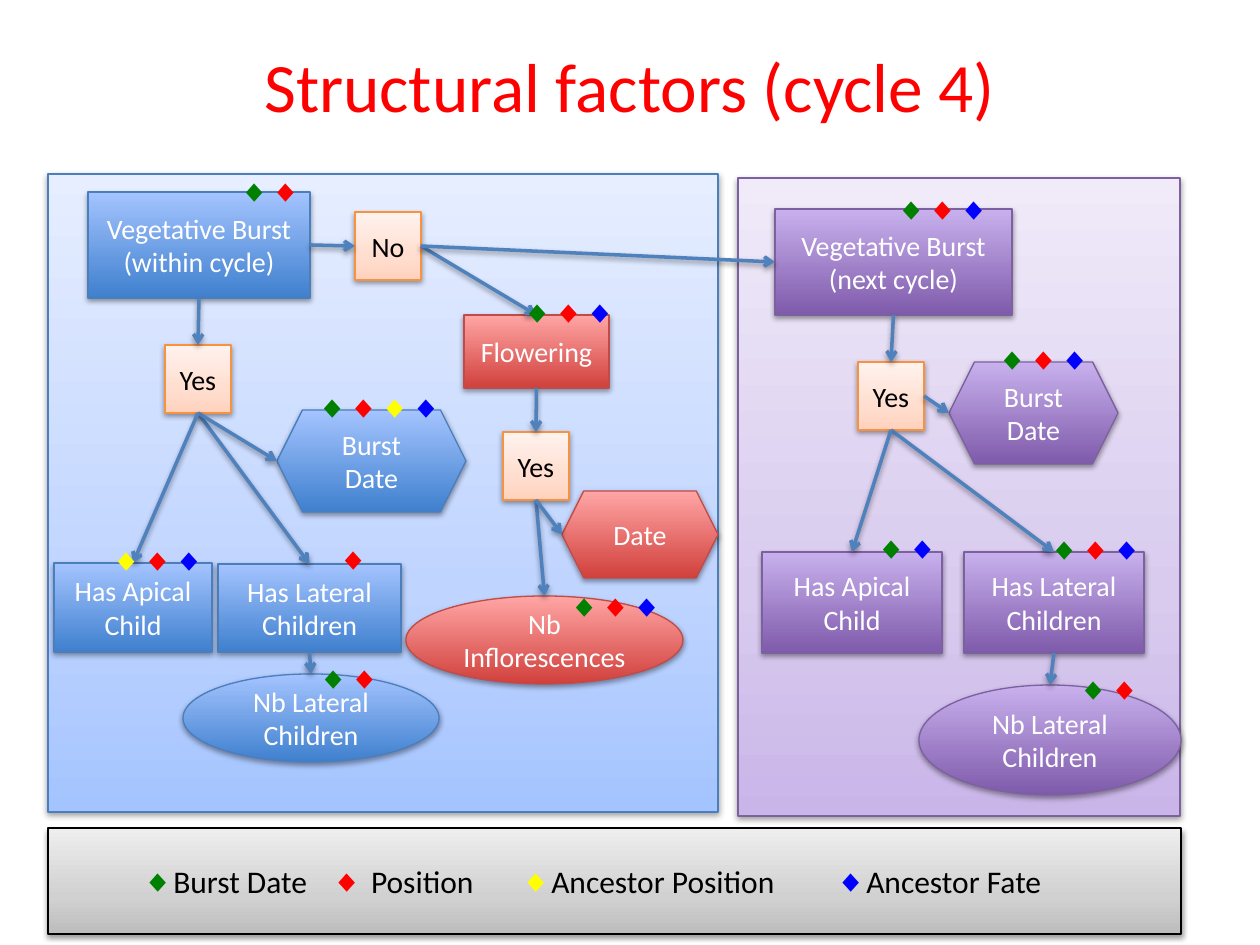
from lxml.etree import SubElement
from pptx import Presentation
from pptx.dml.color import RGBColor
from pptx.enum.dml import MSO_THEME_COLOR
from pptx.enum.shapes import MSO_CONNECTOR, MSO_SHAPE
from pptx.enum.text import MSO_ANCHOR, PP_ALIGN
from pptx.oxml.ns import qn
from pptx.util import Emu, Pt

PX_PER_INCH = 126
BLACK = RGBColor(0x00, 0x00, 0x00)
WHITE = RGBColor(0xFF, 0xFF, 0xFF)
RED = RGBColor(0xFF, 0x00, 0x00)
GREEN = RGBColor(0x00, 0x80, 0x00)
YELLOW = RGBColor(0xFF, 0xFF, 0x00)
BLUE = RGBColor(0x00, 0x00, 0xFF)
ARROW_BLUE = RGBColor(0x4F, 0x81, 0xBD)

# Outline colour, then gradient stops from bottom to top
BLUE_OUTLINE = RGBColor(0x4B, 0x7E, 0xBC)
PURPLE_OUTLINE = RGBColor(0x7D, 0x60, 0xA0)
BLUE_NODE = (BLUE_OUTLINE, {0: RGBColor(0x3F, 0x80, 0xCE), 100: RGBColor(0xA4, 0xC4, 0xFF)})
RED_NODE = (RGBColor(0xBF, 0x4C, 0x48),
            {0: RGBColor(0xD1, 0x40, 0x3C), 100: RGBColor(0xFF, 0xA6, 0xA5)})
PURPLE_NODE = (PURPLE_OUTLINE, {0: RGBColor(0x7F, 0x5B, 0xAB), 100: RGBColor(0xC8, 0xB0, 0xED)})
ANSWER = (RGBColor(0xF6, 0x92, 0x40), {0: RGBColor(0xFF, 0xD2, 0xBD),
          35: RGBColor(0xFF, 0xDE, 0xD0), 100: RGBColor(0xFF, 0xF2, 0xED)})
BLUE_PANEL = (BLUE_OUTLINE, {0: RGBColor(0xA4, 0xC4, 0xFF),
              35: RGBColor(0xBF, 0xD4, 0xFF), 100: RGBColor(0xE6, 0xEE, 0xFF)})
PURPLE_PANEL = (PURPLE_OUTLINE, {0: RGBColor(0xC9, 0xB5, 0xE8),
                35: RGBColor(0xD8, 0xCB, 0xEE), 100: RGBColor(0xF0, 0xEA, 0xF9)})
GREY_PANEL = (BLACK, {0: RGBColor(0xBD, 0xBD, 0xBD),
              35: RGBColor(0xD1, 0xD1, 0xD1), 100: RGBColor(0xEE, 0xEE, 0xEE)})

RECT, OVAL, HEXAGON = MSO_SHAPE.RECTANGLE, MSO_SHAPE.OVAL, MSO_SHAPE.HEXAGON
TOP, LEFT, BOTTOM, RIGHT = range(4)
ANSWER_SIZE = (66, 68)
DIAMOND = "◆"


def px(length):
    return Emu(round(length * 914400 / PX_PER_INCH))


def add_shadow(shape):
    effects = SubElement(shape._element.spPr, qn("a:effectLst"))
    shadow = SubElement(effects, qn("a:outerShdw"), blurRad="40000", dist="20000",
                        dir="5400000", rotWithShape="0")
    color = SubElement(shadow, qn("a:srgbClr"), val=str(BLACK))
    SubElement(color, qn("a:alpha"), val="38000")


def format_span(span, size, color, font="Calibri"):
    span.font.size = Pt(size)
    span.font.name = font
    span.font.color.rgb = color


def add_box(slide, kind, box, style, text="", color=WHITE):
    """Add a shadowed gradient shape with centred text."""
    outline, stops = style
    shape = slide.shapes.add_shape(kind, *map(px, box))
    shape.fill.gradient()
    shape.fill.gradient_angle = 90
    stop_list = shape._element.spPr.find(".//" + qn("a:gsLst"))
    stop_list.clear()
    for position, stop_color in stops.items():
        stop = SubElement(stop_list, qn("a:gs"), pos=str(position * 1000))
        SubElement(stop, qn("a:srgbClr"), val=str(stop_color))
    shape.line.color.rgb = outline
    shape.line.width = Pt(0.75)
    add_shadow(shape)
    frame = shape.text_frame
    frame.text = text
    frame.vertical_anchor = MSO_ANCHOR.MIDDLE
    for para in frame.paragraphs:
        para.alignment = PP_ALIGN.CENTER
        for span in para.runs:
            format_span(span, 16, color)
    return shape


def add_arrow(slide, start, start_side, end, end_side):
    """Join two shapes; a hexagon is reached at its left tip."""
    tip = (end.left, end.top + end.height // 2)
    arrow = slide.shapes.add_connector(MSO_CONNECTOR.STRAIGHT, 0, 0, *tip)
    arrow.begin_connect(start, start_side)
    if end.auto_shape_type != HEXAGON:
        arrow.end_connect(end, end_side)
    arrow.line.color.rgb = ARROW_BLUE
    arrow.line.width = Pt(2)
    SubElement(arrow.line._get_or_add_ln(), qn("a:tailEnd"), type="arrow")
    add_shadow(arrow)


def add_markers(slide, left, top, colors):
    width = 25 + 32 * len(colors)
    box = slide.shapes.add_textbox(px(left), px(top), px(width), px(50))
    box.text_frame.word_wrap = False
    para = box.text_frame.paragraphs[0]
    for color in colors:
        span = para.add_run()
        span.text = DIAMOND
        format_span(span, 18, color, "Arial")


def add_panel(slide, box, style, nodes, arrows, markers):
    """Draw a tinted panel and its flow chart; return the nodes by name."""
    add_box(slide, RECT, box, style)
    left, top = box[:2]
    shapes = {}
    for name, (kind, (x, y, width, height), node_style, text) in nodes.items():
        color = BLACK if node_style is ANSWER else WHITE
        node_box = (left + x, top + y, width, height)
        shapes[name] = add_box(slide, kind, node_box, node_style, text, color)
    for start, start_side, end, end_side in arrows:
        add_arrow(slide, shapes[start], start_side, shapes[end], end_side)
    for x, y, colors in markers:
        add_markers(slide, left + x, top + y, colors)
    return shapes


def add_within_cycle(slide, box):
    nodes = {
        "burst": (RECT, (40, 18, 222, 106), BLUE_NODE, "Vegetative Burst\n(within cycle)"),
        "lateral": (RECT, (170, 390, 183, 88), BLUE_NODE, "Has Lateral Children"),
        "lateral count": (OVAL, (135, 500, 256, 88), BLUE_NODE, "Nb Lateral Children"),
        "burst date": (HEXAGON, (229, 236, 189, 102), BLUE_NODE, "Burst Date"),
        "apical": (RECT, (6, 389, 158, 89), BLUE_NODE, "Has Apical Child"),
        "no": (RECT, (307, 38, *ANSWER_SIZE), ANSWER, "No"),
        "yes": (RECT, (117, 171, *ANSWER_SIZE), ANSWER, "Yes"),
        "flowering": (RECT, (416, 141, 145, 73), RED_NODE, "Flowering"),
        "flowering yes": (RECT, (455, 258, *ANSWER_SIZE), ANSWER, "Yes"),
        "inflorescences": (OVAL, (358, 422, 277, 88), RED_NODE, "Nb\nInflorescences"),
        "date": (HEXAGON, (514, 317, 156, 87), RED_NODE, "Date"),
    }
    arrows = [
        ("burst", RIGHT, "no", LEFT), ("burst", BOTTOM, "yes", TOP),
        ("yes", BOTTOM, "lateral", TOP), ("yes", BOTTOM, "burst date", LEFT),
        ("yes", BOTTOM, "apical", TOP), ("lateral", BOTTOM, "lateral count", TOP),
        ("no", RIGHT, "flowering", TOP), ("flowering", BOTTOM, "flowering yes", TOP),
        ("flowering yes", BOTTOM, "inflorescences", TOP),
        ("flowering yes", BOTTOM, "date", LEFT),
    ]
    markers = [
        (178, -8, (GREEN, RED)), (256, 208, (GREEN, RED, YELLOW, BLUE)),
        (50, 361, (YELLOW, RED, BLUE)), (277, 360, (RED,)), (257, 479, (GREEN, RED)),
        (461, 113, (GREEN, RED, BLUE)), (508, 407, (GREEN, RED, BLUE)),
    ]
    return add_panel(slide, box, BLUE_PANEL, nodes, arrows, markers)


def add_next_cycle(slide, box):
    nodes = {
        "burst": (RECT, (37, 31, 237, 106), PURPLE_NODE, "Vegetative Burst\n(next cycle)"),
        "lateral": (RECT, (226, 374, 180, 101), PURPLE_NODE, "Has Lateral Children"),
        "lateral count": (OVAL, (181, 507, 262, 110), PURPLE_NODE, "Nb Lateral Children"),
        "burst date": (HEXAGON, (211, 184, 169, 102), PURPLE_NODE, "Burst Date"),
        "apical": (RECT, (24, 374, 180, 101), PURPLE_NODE, "Has Apical Child"),
        "yes": (RECT, (120, 184, *ANSWER_SIZE), ANSWER, "Yes"),
    }
    arrows = [
        ("burst", BOTTOM, "yes", TOP), ("yes", RIGHT, "burst date", LEFT),
        ("yes", BOTTOM, "lateral", TOP), ("yes", BOTTOM, "apical", TOP),
        ("lateral", BOTTOM, "lateral count", TOP),
    ]
    markers = [
        (145, 6, (GREEN, RED, BLUE)), (246, 156, (GREEN, RED, BLUE)),
        (125, 345, (GREEN, BLUE)), (298, 346, (GREEN, RED, BLUE)), (327, 486, (GREEN, RED)),
    ]
    return add_panel(slide, box, PURPLE_PANEL, nodes, arrows, markers)


def add_legend(slide, box):
    para = add_box(slide, RECT, box, GREY_PANEL).text_frame.paragraphs[0]
    entries = [(DIAMOND, GREEN, "Burst Date\t"), (DIAMOND + " ", RED, "Position\t"),
               (DIAMOND, YELLOW, "Ancestor Position\t"), (DIAMOND, BLUE, "Ancestor Fate\t")]
    for symbol, color, label in entries:
        for text, text_color, font in ((symbol, color, "Arial"), (label, BLACK, "Calibri")):
            span = para.add_run()
            span.text = text
            format_span(span, 18, text_color, font)


def add_title(slide, box):
    frame = slide.shapes.add_textbox(*map(px, box)).text_frame
    frame.word_wrap = True
    frame.vertical_anchor = MSO_ANCHOR.MIDDLE
    frame.text = "Structural factors (cycle 4)"
    para = frame.paragraphs[0]
    para.alignment = PP_ALIGN.CENTER
    format_span(para.runs[0], 39.6, RED)


def main():
    deck = Presentation()
    deck.slide_width, deck.slide_height = px(1260), px(945)
    slide = deck.slides.add_slide(deck.slide_layouts[6])
    add_title(slide, (63, 38, 1134, 93))
    next_cycle = add_next_cycle(slide, (738, 178, 442, 638))
    within_cycle = add_within_cycle(slide, (48, 174, 670, 638))
    add_arrow(slide, within_cycle["no"], RIGHT, next_cycle["burst"], LEFT)
    add_legend(slide, (48, 828, 1133, 106))
    deck.save("out.pptx")


if __name__ == "__main__":
    main()
